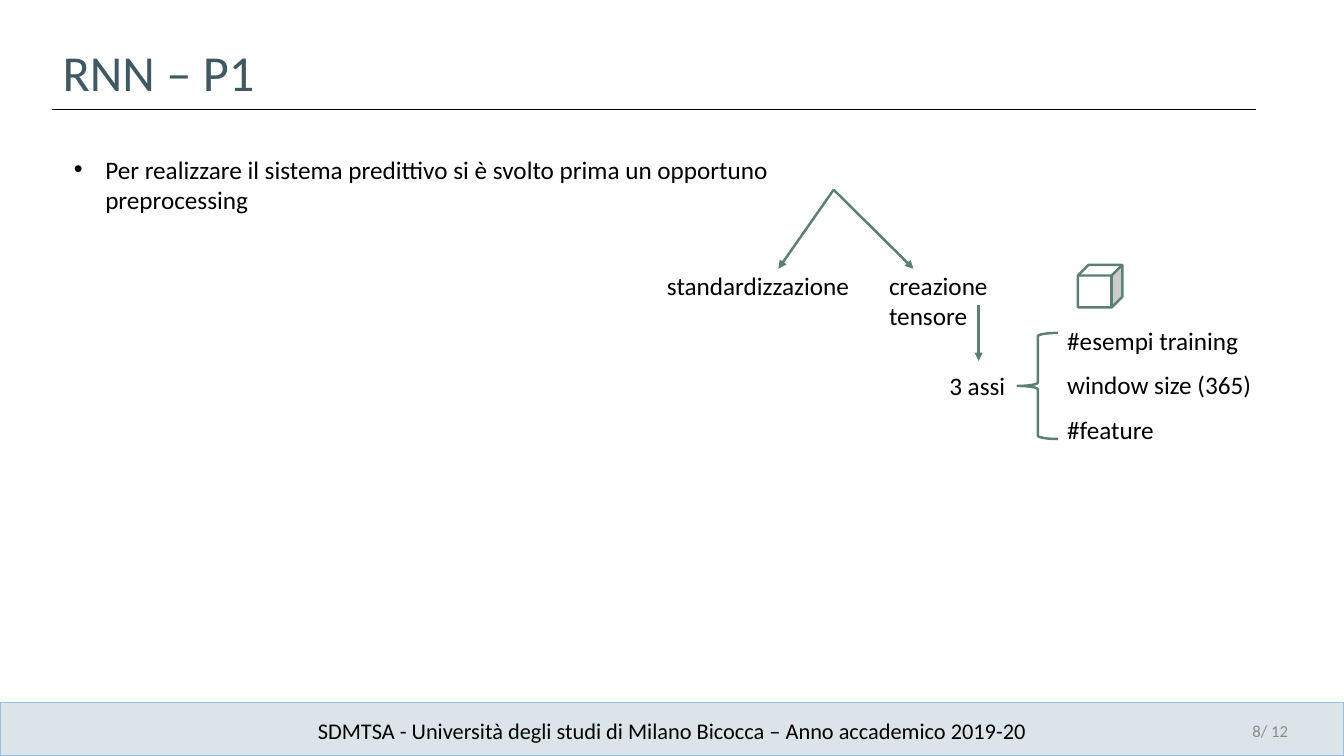
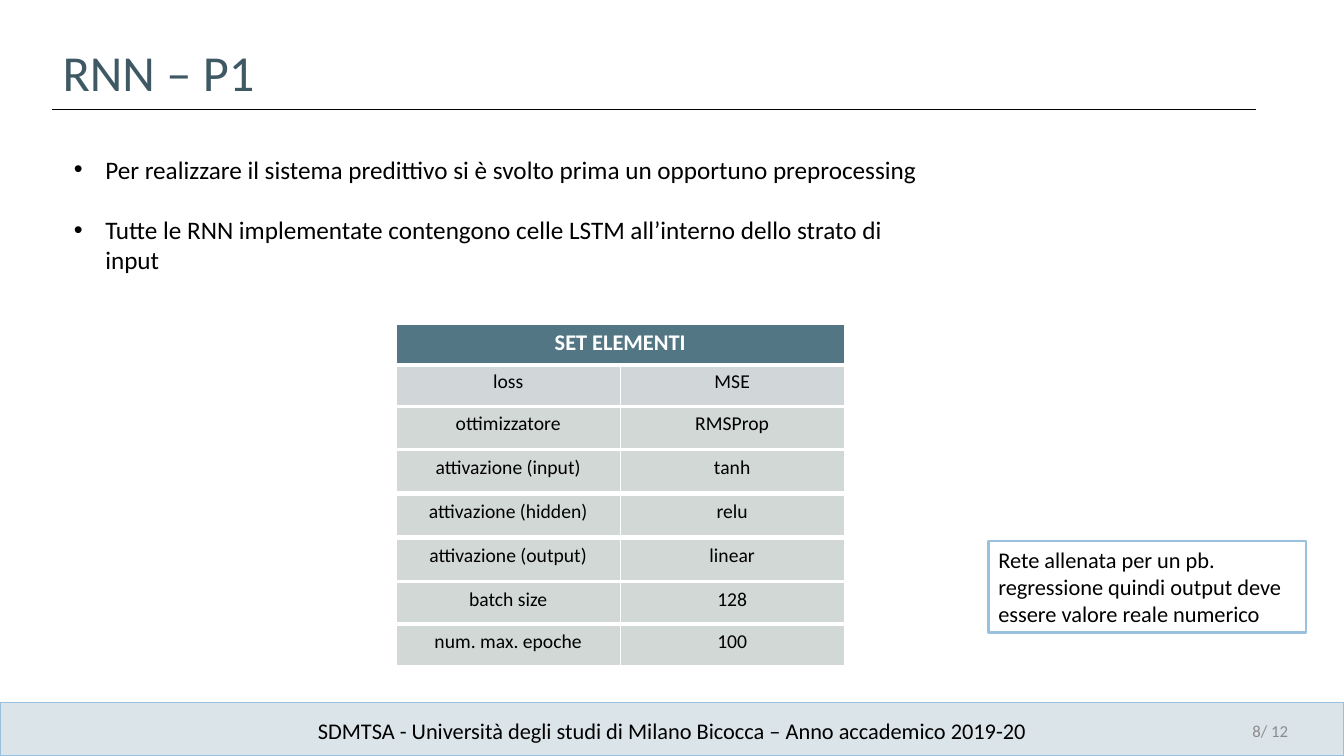
from dataclasses import dataclass

from lxml import etree
from pptx import Presentation
from pptx.dml.color import RGBColor
from pptx.enum import shapes, text
from pptx.oxml import ns
from pptx.shapes.autoshape import Shape
from pptx.shapes.connector import Connector
from pptx.slide import Slide
from pptx.table import _Cell
from pptx.text.text import TextFrame
from pptx.util import Pt

FONT = "Calibri"
BLACK = RGBColor(0x00, 0x00, 0x00)
WHITE = RGBColor(0xFF, 0xFF, 0xFF)
SLATE = RGBColor(0x3E, 0x59, 0x64)
GREEN = RGBColor(0x5A, 0x80, 0x71)
SKY = RGBColor(0x99, 0xC0, 0xDC)
MIST = RGBColor(0xDB, 0xE4, 0xE8)
GREY = RGBColor(0x8C, 0x8C, 0x8C)
TEAL = RGBColor(0x53, 0x76, 0x85)
ROW_BLUE = RGBColor(0xD1, 0xD6, 0xD9)
ROW_GREEN = RGBColor(0xD2, 0xD8, 0xD5)

SLIDE_WIDTH, SLIDE_HEIGHT = 960, 540
LEFT, TOP, MIDDLE = text.PP_ALIGN.LEFT, text.MSO_ANCHOR.TOP, text.MSO_ANCHOR.MIDDLE
CENTER, RIGHT = text.PP_ALIGN.CENTER, text.PP_ALIGN.RIGHT
INDENT = 22.5
BULLET_GAP = 21.5
TABLE_LEFT, TABLE_WIDTH = 283, 320

TITLE = "RNN – P1"
COURSE = "SDMTSA - Università degli studi di Milano Bicocca – Anno accademico 2019-20"
PREPROCESSING = "Per realizzare il sistema predittivo si è svolto prima un opportuno preprocessing"
LSTM_CELLS = "Tutte le RNN implementate contengono celle LSTM all’interno dello strato di input"
OUTPUT_NOTE = "Rete allenata per un pb. regressione quindi output deve essere valore reale numerico"


@dataclass(frozen=True)
class Box:
    left: float
    top: float
    width: float
    height: float

    def emu(self) -> tuple[int, int, int, int]:
        return Pt(self.left), Pt(self.top), Pt(self.width), Pt(self.height)


@dataclass(frozen=True)
class Style:
    size: float
    color: RGBColor = BLACK
    align: text.PP_ALIGN = LEFT
    anchor: text.MSO_ANCHOR = TOP
    bold: bool = False


@dataclass(frozen=True)
class Label:
    wording: str
    left: float
    top: float
    width: float


@dataclass(frozen=True)
class Row:
    name: str
    value: str
    fill: RGBColor = ROW_GREEN
    style: Style = Style(14, align=CENTER)
    heading: bool = False


@dataclass(frozen=True)
class Settings:
    top: float
    row_height: float
    rows: tuple[Row, ...]


LABEL_STYLE = Style(18)
HEADING = Row("SET ELEMENTI", "", TEAL, Style(16, WHITE, CENTER, bold=True), True)
NETWORK_SETTINGS = [
    Settings(231.8, 28.8, (HEADING, Row("loss", "MSE", ROW_BLUE))),
    Settings(290.9, 29.4, (Row("ottimizzatore", "RMSProp"),)),
    Settings(321.8, 29.4, (Row("attivazione (input)", "tanh"),)),
    Settings(353.5, 29.4, (Row("attivazione (hidden)", "relu"),)),
    Settings(385.2, 29.4, (Row("attivazione (output)", "linear"),)),
    Settings(416.2, 28.8, (Row("batch size", "128"),)),
    Settings(446.4, 28.8, (Row("num. max. epoche", "100"),)),
]
AXES = ["#esempi training", "window size (365)", "#feature"]


def write(frame: TextFrame, paragraphs: list[str], style: Style) -> None:
    frame.text = "\n".join(paragraphs)
    frame.word_wrap = True
    frame.auto_size = text.MSO_AUTO_SIZE.NONE
    frame.vertical_anchor = style.anchor
    format_paragraphs(frame, style)


def format_paragraphs(frame: TextFrame, style: Style) -> None:
    for paragraph in frame.paragraphs:
        paragraph.alignment = style.align
        paragraph.space_before = Pt(0)
        paragraph.font.name = FONT
        paragraph.font.size = Pt(style.size)
        paragraph.font.bold = style.bold
        paragraph.font.color.rgb = style.color


def place(shape: Shape, box: Box) -> None:
    shape.left, shape.top, shape.width, shape.height = box.emu()


def add_label(slide: Slide, wording: str, box: Box, style: Style) -> Shape:
    label = slide.shapes.add_textbox(*box.emu())
    write(label.text_frame, [wording], style)
    return label


def add_outlined(slide: Slide, kind: shapes.MSO_SHAPE, box: Box, line: RGBColor,
                 weight: float, fill: RGBColor | None = None) -> Shape:
    shape = slide.shapes.add_shape(kind, *box.emu())
    shape.shadow.inherit = False
    if fill is None:
        shape.fill.background()
    else:
        shape.fill.solid()
        shape.fill.fore_color.rgb = fill
    shape.line.color.rgb = line
    shape.line.width = Pt(weight)
    return shape


def add_line(slide: Slide, start: tuple[float, float], end: tuple[float, float],
             color: RGBColor, weight: float, arrow: bool = False) -> Connector:
    line = slide.shapes.add_connector(
        shapes.MSO_CONNECTOR.STRAIGHT, *(Pt(value) for value in start + end))
    line.line.color.rgb = color
    line.line.width = Pt(weight)
    if arrow:
        etree.SubElement(line.line._get_or_add_ln(), ns.qn("a:tailEnd"), type="triangle")
    etree.SubElement(line._element.spPr, ns.qn("a:effectLst"))
    return line


def add_page(deck: Presentation, bullets: list[str], bullet_box: Box) -> Slide:
    slide = deck.slides.add_slide(deck.slide_layouts[1])
    title, body = slide.shapes.title, slide.placeholders[1]
    place(title, Box(37.5, 26, 190, 51))
    write(title.text_frame, [TITLE], Style(36, SLATE))
    place(body, bullet_box)
    write(body.text_frame, bullets, LABEL_STYLE)
    for position, bullet in enumerate(body.text_frame.paragraphs):
        bullet.space_before = Pt(BULLET_GAP if position else 0)
        properties = bullet._p.get_or_add_pPr()
        properties.set("marL", str(Pt(INDENT)))
        properties.set("indent", str(-Pt(INDENT)))
    add_line(slide, (37.5, 78.1), (897, 78.1), BLACK, 1)
    add_outlined(slide, shapes.MSO_SHAPE.RECTANGLE,
                 Box(0, 502, SLIDE_WIDTH, 38), SKY, 1, MIST)
    add_label(slide, COURSE, Box(0, 508.5, SLIDE_WIDTH, 26.6), Style(16, align=CENTER))
    add_label(slide, "8/ 12", Box(711.2, 507.8, 216, 28.8),
              Style(12, GREY, RIGHT, MIDDLE))
    return slide


def fill_cell(cell: _Cell, wording: str, row: Row) -> None:
    cell.text_frame.text = wording
    format_paragraphs(cell.text_frame, row.style)
    properties = cell._tc.get_or_add_tcPr()
    weights = {"lnL": 1, "lnR": 1, "lnT": 1, "lnB": 3 if row.heading else 1}
    for side, weight in weights.items():
        border = etree.SubElement(properties, ns.qn(f"a:{side}"), w=str(Pt(weight)))
        solid = etree.SubElement(border, ns.qn("a:solidFill"))
        etree.SubElement(solid, ns.qn("a:srgbClr"), val=str(WHITE))
    cell.fill.solid()
    cell.fill.fore_color.rgb = row.fill


def add_settings(slide: Slide, settings: Settings) -> None:
    row_count = len(settings.rows)
    box = Box(TABLE_LEFT, settings.top, TABLE_WIDTH, settings.row_height * row_count)
    table = slide.shapes.add_table(row_count, 2, *box.emu()).table
    table.horz_banding = False
    table.first_row = settings.rows[0].heading
    for row_number, row in enumerate(settings.rows):
        if row.heading:
            table.cell(row_number, 0).merge(table.cell(row_number, 1))
        for column, wording in enumerate((row.name, row.value)):
            fill_cell(table.cell(row_number, column), wording, row)


def build_preprocessing(deck: Presentation) -> None:
    slide = add_page(deck, [PREPROCESSING], Box(45.5, 106.5, 612.5, 50))
    fork = (595.5, 135.5)
    for tip in ((556, 192), (652.5, 192)):
        add_line(slide, fork, tip, GREEN, 1.75, arrow=True)
    steps = [
        Label("standardizzazione", 469.3, 189.2, 148),
        Label("creazione tensore", 628, 189.2, 142),
        Label("3 assi", 671, 260.8, 56),
    ]
    axes = [Label(axis, 755.2, 228.5 + 32 * order, 148) for order, axis in enumerate(AXES)]
    drawn = {
        label.wording: add_label(
            slide, label.wording, Box(label.left, label.top, label.width, 29), LABEL_STYLE)
        for label in steps + axes
    }
    to_axes = add_line(slide, (699, 218.2), (699, 257.8), GREEN, 1.75, arrow=True)
    to_axes.begin_connect(drawn["creazione tensore"], 2)
    add_outlined(slide, shapes.MSO_SHAPE.CUBE, Box(770, 189.2, 31.7, 30.4), GREEN, 1.75, WHITE)
    add_outlined(slide, shapes.MSO_SHAPE.LEFT_BRACE, Box(726.8, 237.8, 29, 75.8), GREEN, 1.75)


def build_network(deck: Presentation) -> None:
    slide = add_page(deck, [PREPROCESSING, LSTM_CELLS], Box(45.5, 106.5, 621.5, 94))
    for settings in NETWORK_SETTINGS:
        add_settings(slide, settings)
    note = add_outlined(slide, shapes.MSO_SHAPE.RECTANGLE,
                        Box(706, 386.4, 226.8, 65.4), SKY, 1.75, WHITE)
    write(note.text_frame, [OUTPUT_NOTE], Style(16))


def main() -> None:
    deck = Presentation()
    deck.slide_width, deck.slide_height = Pt(SLIDE_WIDTH), Pt(SLIDE_HEIGHT)
    build_preprocessing(deck)
    build_network(deck)
    deck.save("out.pptx")


if __name__ == "__main__":
    main()
